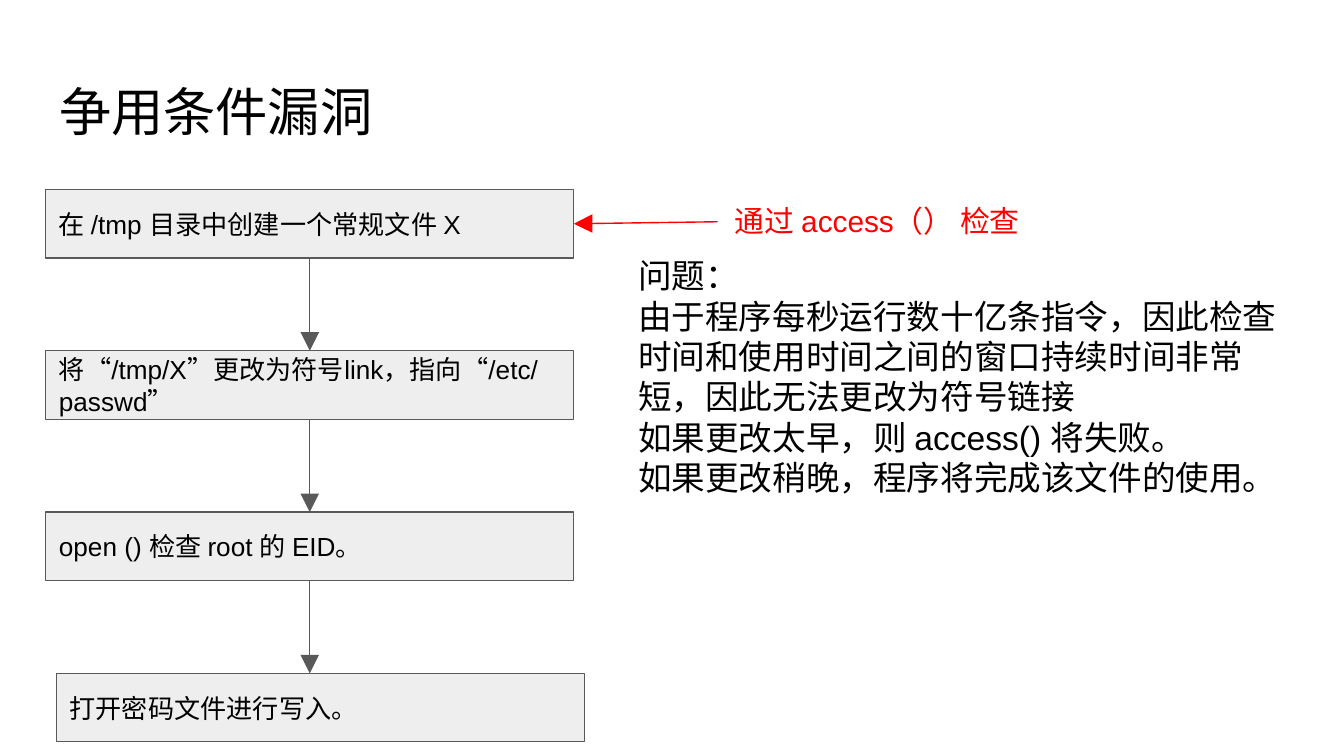
from dataclasses import dataclass

from lxml import etree
from pptx import Presentation
from pptx import util as u
from pptx.dml.color import RGBColor
from pptx.enum import shapes, text
from pptx.oxml import ns


@dataclass(frozen=True)
class Theme:
    font: str = "Arial"
    ink: str = "000000"
    alert: str = "FF0000"
    box_fill: str = "EEEEEE"
    edge: str = "595959"
    title: int = 28
    body: int = 18
    label: int = 16
    step: int = 14
    line: float = 0.75
    inset: float = 0.1


THEME = Theme()
WIDTH = 10
HEIGHT = WIDTH * 9 / 16
LEFT, TOP = 0.34, 1.41
BOX_W, BOX_H = 3.93, 0.51
ROW_PITCH = 1.2
LAST_INDENT = 0.08

TITLE = "争用条件漏洞"
STEPS = [
    "在 /tmp 目录中创建一个常规文件 X",
    "将“/tmp/X”更改为符号link，指向“/etc/passwd”",
    "open () 检查 root 的 EID。",
    "打开密码文件进行写入。",
]
CHECK = "通过 access（） 检查"
PROBLEM = [
    "问题：",
    "由于程序每秒运行数十亿条指令，因此检查时间和使用时间之间的窗口持续时间非常短，因此无法更改为符号链接",
    "如果更改太早，则 access() 将失败。",
    "如果更改稍晚，程序将完成该文件的使用。",
]


def inches(*lengths):
    return [u.Inches(length) for length in lengths]


def write(shape, lines, size, color=THEME.ink, anchor=text.MSO_ANCHOR.TOP):
    """Fill a shape with one paragraph whose lines are split by line breaks."""
    frame = shape.text_frame
    inset = u.Inches(THEME.inset)
    frame_format = dict(
        word_wrap=True, auto_size=text.MSO_AUTO_SIZE.NONE, vertical_anchor=anchor,
        margin_left=inset, margin_top=inset, margin_right=inset, margin_bottom=inset,
    )
    for name, value in frame_format.items():
        setattr(frame, name, value)
    para = frame.paragraphs[0]
    para.text = "\v".join(lines)
    para.alignment = text.PP_ALIGN.LEFT
    # Punctuation stays inside the box, so a full line wraps before it.
    para._p.get_or_add_pPr().set("hangingPunct", "0")
    for span in para.runs:
        for name, value in dict(name=THEME.font, size=u.Pt(size)).items():
            setattr(span.font, name, value)
        span.font.color.rgb = RGBColor.from_string(color)


def set_line(line, color):
    line.color.rgb = RGBColor.from_string(color)
    line.width = u.Pt(THEME.line)


def place_title(page):
    title = page.shapes.title
    place = dict(zip(("left", "top", "width", "height"),
                     inches(LEFT, 0.49, WIDTH - 2 * LEFT, 0.63)))
    for name, value in place.items():
        setattr(title, name, value)
    write(title, [TITLE], THEME.title)


def add_text(page, place, lines, size, color=THEME.ink):
    write(page.shapes.add_textbox(*inches(*place)), lines, size, color)


def add_step(page, row, label):
    indent = LAST_INDENT if row == len(STEPS) - 1 else 0
    box = page.shapes.add_shape(
        shapes.MSO_SHAPE.RECTANGLE,
        *inches(LEFT + indent, TOP + row * ROW_PITCH, BOX_W, BOX_H))
    box.shadow.inherit = False
    box.fill.solid()
    box.fill.fore_color.rgb = RGBColor.from_string(THEME.box_fill)
    set_line(box.line, THEME.edge)
    write(box, [label], THEME.step, anchor=text.MSO_ANCHOR.MIDDLE)
    return box


def add_arrow(page, start, end, color):
    arrow = page.shapes.add_connector(
        shapes.MSO_CONNECTOR.STRAIGHT, *inches(*start, *end))
    set_line(arrow.line, color)
    etree.SubElement(arrow.line._get_or_add_ln(), ns.qn("a:tailEnd"),
                     type="triangle", w="lg", len="lg")
    etree.SubElement(arrow._element.spPr, ns.qn("a:effectLst"))
    return arrow


def add_flow(page):
    boxes = [add_step(page, row, label) for row, label in enumerate(STEPS)]
    middle = LEFT + BOX_W / 2
    for row, (upper, lower) in enumerate(zip(boxes, boxes[1:])):
        top = TOP + row * ROW_PITCH
        arrow = add_arrow(page, (middle, top + BOX_H),
                          (middle, top + ROW_PITCH), THEME.edge)
        arrow.begin_connect(upper, 2)
        if lower is not boxes[-1]:  # the indented last box is met off its middle
            arrow.end_connect(lower, 0)
    return boxes


def main():
    deck = Presentation()
    deck.slide_width, deck.slide_height = inches(WIDTH, HEIGHT)
    page = deck.slides.add_slide(deck.slide_layouts.get_by_name("Title Only"))
    place_title(page)
    boxes = add_flow(page)
    check = add_arrow(page, (5.34, 1.65), (LEFT + BOX_W, TOP + BOX_H / 2), THEME.alert)
    check.end_connect(boxes[0], 3)
    add_text(page, (5.37, TOP, 2.61, BOX_H), [CHECK], THEME.label, THEME.alert)
    add_text(page, (4.65, 1.8, 5.1, 3.66), PROBLEM, THEME.body)
    deck.save("out.pptx")


if __name__ == "__main__":
    main()
